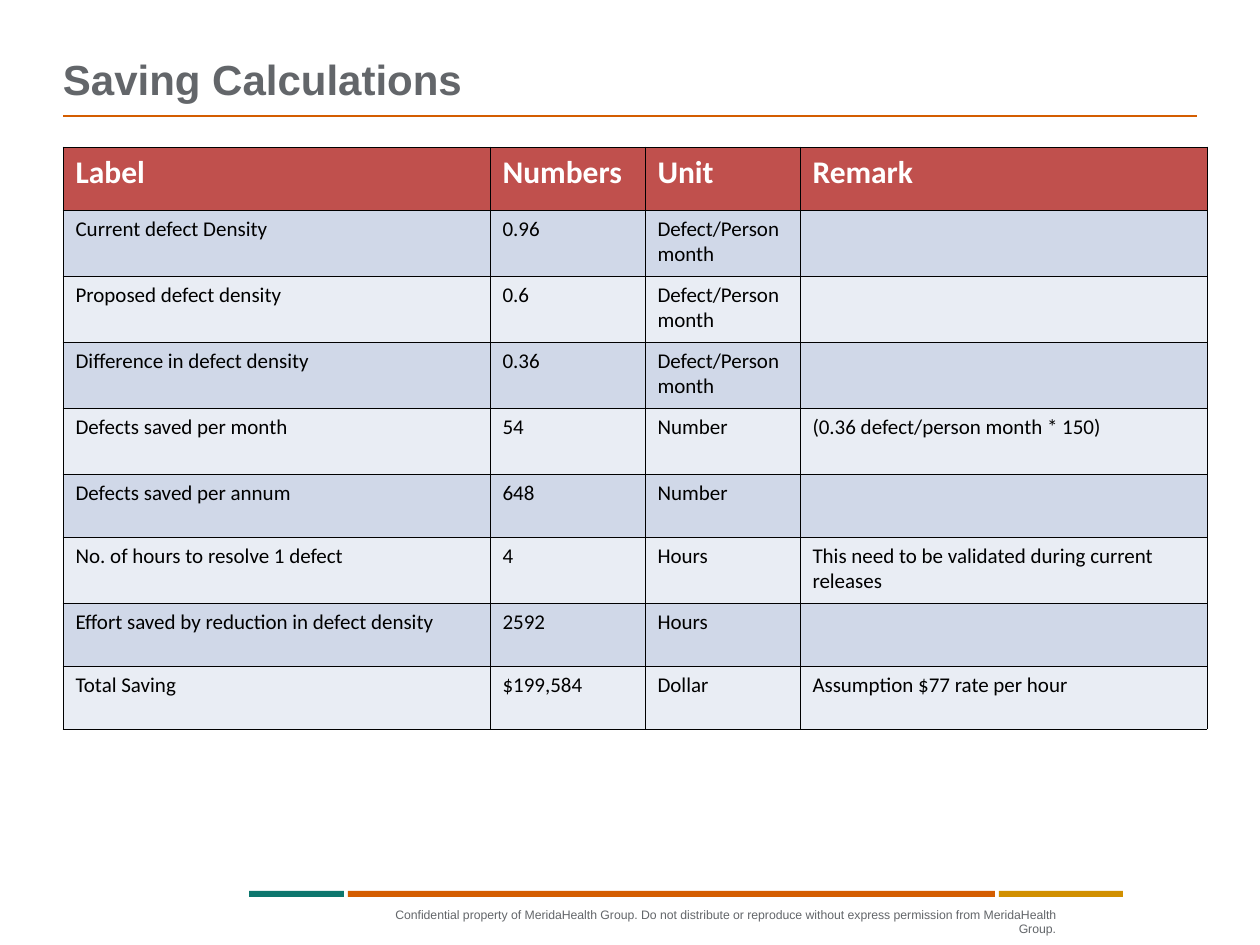
from typing import NamedTuple

from lxml.etree import SubElement
from pptx import Presentation
from pptx.dml.color import RGBColor
from pptx.enum.shapes import MSO_CONNECTOR as Conn, MSO_SHAPE as Shape
from pptx.enum.text import MSO_ANCHOR as Anchor, PP_ALIGN as Align
from pptx.oxml.ns import qn
from pptx.util import Emu, Pt

PX = 914400 / 126
COLORS = {
    "grey": "63666A", "orange": "D45D00", "teal": "0D776E", "gold": "D19000",
    "header": "C0504D", "odd": "D0D8E8", "even": "E9EDF4",
    "white": "FFFFFF", "black": "000000",
}


class Box(NamedTuple):
    x: int
    y: int
    w: int
    h: int


class Bar(NamedTuple):
    x: int
    w: int
    color: str


class Label(NamedTuple):
    text: str
    box: Box
    size: int
    bold: bool
    align: Align
    anchor: Anchor
    spacing: float
    wrap: bool


TITLE = Label("Saving Calculations", Box(63, 21, 1134, 84), 24, True,
              Align.LEFT, Anchor.BOTTOM, 0.9, True)
FOOTER = Label("Confidential property of MeridaHealth Group. Do not distribute or "
               "reproduce without express permission from MeridaHealth Group.",
               Box(358, 907, 698, 15), 7, False,
               Align.RIGHT, Anchor.TOP, 1.0, False)
BARS = [Bar(249, 95, "teal"), Bar(348, 647, "orange"), Bar(999, 124, "gold")]

TALL, SHORT = 66, 63
ROW_HEIGHTS = [SHORT, TALL, TALL, TALL, TALL, SHORT, TALL, SHORT, SHORT]
COL_WIDTHS = [427, 155, 155, 407]
DENSITY = "Defect/Person month"
ROWS = [
    ("Label", "Numbers", "Unit", "Remark"),
    ("Current defect Density", "0.96", DENSITY, ""),
    ("Proposed defect density", "0.6", DENSITY, ""),
    ("Difference in defect density", "0.36", DENSITY, ""),
    ("Defects saved per month", "54", "Number", "(0.36 defect/person month * 150)"),
    ("Defects saved per annum", "648", "Number", ""),
    ("No. of hours to resolve 1 defect", "4", "Hours",
     "This need to be validated during current releases"),
    ("Effort saved by reduction in defect density", "2592", "Hours", ""),
    ("Total Saving", "$199,584", "Dollar", "Assumption $77 rate per hour"),
]


def px(n: int) -> Emu:
    return Emu(round(n * PX))


def rgb(name: str) -> RGBColor:
    return RGBColor.from_string(COLORS[name])


def style_runs(p, font: str, size: int, color: str, bold: bool) -> None:
    for r in p.runs:
        r.font.name, r.font.size, r.font.bold = font, Pt(size), bold
        r.font.color.rgb = rgb(color)


def add_label(s, label: Label) -> None:
    tf = s.shapes.add_textbox(*map(px, label.box)).text_frame
    tf.margin_left = tf.margin_right = tf.margin_top = tf.margin_bottom = 0
    tf.word_wrap = label.wrap
    tf.vertical_anchor = label.anchor
    tf.text = label.text
    p = tf.paragraphs[0]
    p.alignment, p.line_spacing = label.align, label.spacing
    style_runs(p, "Arial", label.size, "grey", label.bold)


def add_bar(s, bar: Bar) -> None:
    sp = s.shapes.add_shape(Shape.RECTANGLE, px(bar.x), px(891), px(bar.w), px(6))
    sp.shadow.inherit = False
    sp.fill.solid()
    sp.fill.fore_color.rgb = rgb(bar.color)
    sp.line.fill.background()


def add_rule(s, x1: int, x2: int, y: int) -> None:
    line = s.shapes.add_connector(Conn.STRAIGHT, px(x1), px(y), px(x2), px(y))
    line.line.color.rgb = rgb("orange")
    line.line.width = Pt(1)
    SubElement(line._element.spPr, qn("a:effectLst"))


def add_borders(cell) -> None:
    tc_pr = cell._tc.get_or_add_tcPr()
    for side in ("a:lnL", "a:lnR", "a:lnT", "a:lnB"):
        ln = SubElement(tc_pr, qn(side), w=str(Pt(0.45)))
        SubElement(SubElement(ln, qn("a:solidFill")), qn("a:srgbClr"), val=COLORS["black"])


def fill_cell(cell, text: str, row: int) -> None:
    add_borders(cell)
    cell.fill.solid()
    cell.fill.fore_color.rgb = rgb("header" if row == 0 else "odd" if row % 2 else "even")
    cell.text_frame.text = text
    size, color = (18, "white") if row == 0 else (12, "black")
    style_runs(cell.text_frame.paragraphs[0], "Calibri", size, color, row == 0)


def add_savings_table(s) -> None:
    box = Box(63, 147, sum(COL_WIDTHS), sum(ROW_HEIGHTS))
    table = s.shapes.add_table(len(ROWS), len(COL_WIDTHS), *map(px, box)).table
    for col, width in zip(table.columns, COL_WIDTHS):
        col.width = px(width)
    for i, (height, texts) in enumerate(zip(ROW_HEIGHTS, ROWS)):
        table.rows[i].height = px(height)
        for j, text in enumerate(texts):
            fill_cell(table.cell(i, j), text, i)


def main() -> None:
    prs = Presentation()
    prs.slide_width, prs.slide_height = px(1260), px(945)
    s = prs.slides.add_slide(prs.slide_layouts[6])

    # Footer and rule under the title
    add_label(s, FOOTER)
    add_rule(s, 63, 1197, 116)
    for bar in BARS:
        add_bar(s, bar)

    # Content
    add_savings_table(s)
    add_label(s, TITLE)

    prs.save("out.pptx")


if __name__ == "__main__":
    main()
